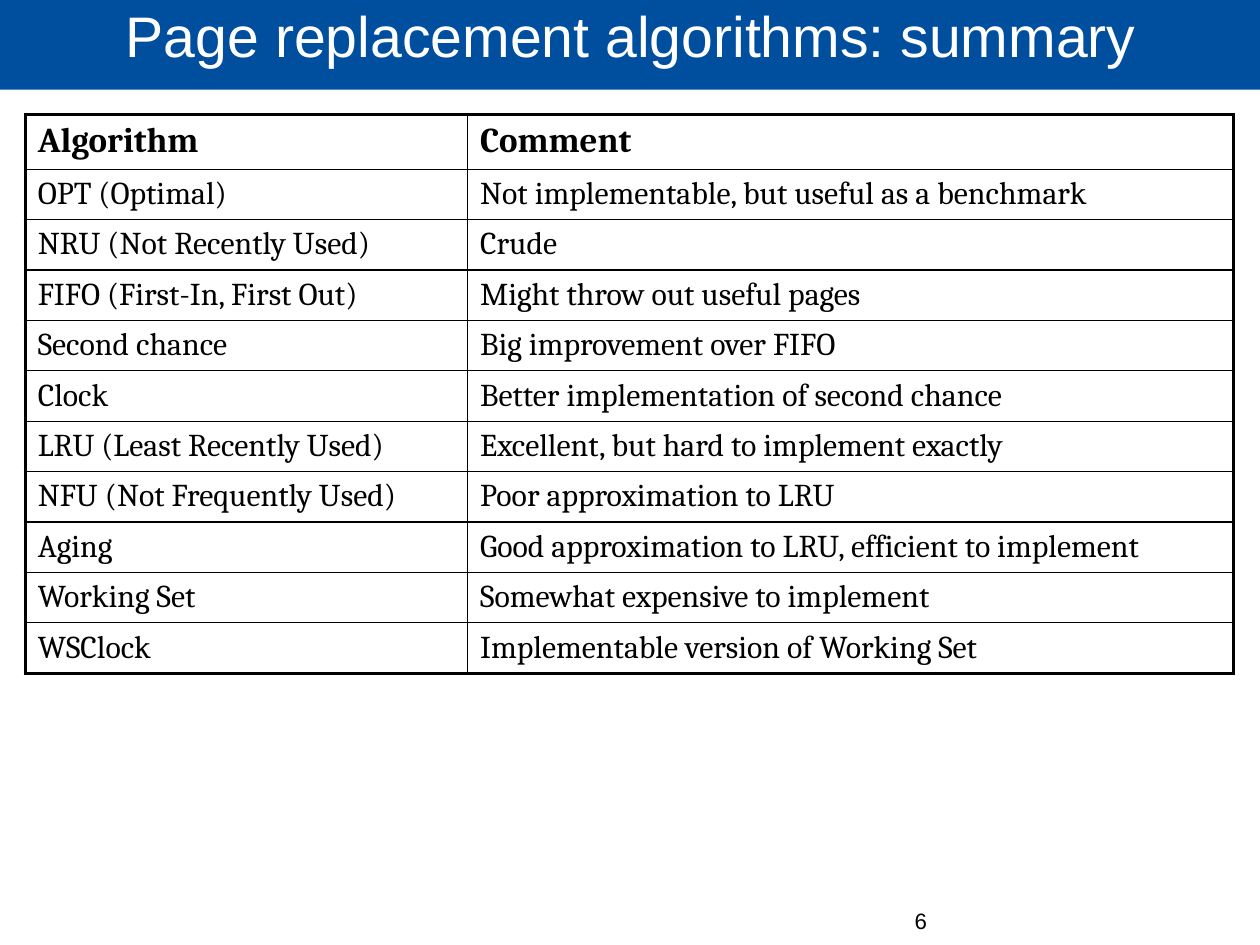
import pptx
import pptx.util
import pptx.dml.color
import pptx.enum.text
import pptx.oxml
import pptx.oxml.ns

Cm = pptx.util.Cm
Pt = pptx.util.Pt
RGBColor = pptx.dml.color.RGBColor
ALIGN = pptx.enum.text.PP_ALIGN
ANCHOR = pptx.enum.text.MSO_ANCHOR

BLUE = RGBColor(0x00, 0x4F, 0x9E)
WHITE = RGBColor(0xFF, 0xFF, 0xFF)
BLACK = RGBColor(0x00, 0x00, 0x00)
THIN, THICK = Pt(1), Pt(2.25)

ROWS = [
    ("Algorithm", "Comment"),
    ("OPT (Optimal)", "Not implementable, but useful as a benchmark"),
    ("NRU (Not Recently Used)", "Crude"),
    ("FIFO (First-In, First Out)", "Might throw out useful pages"),
    ("Second chance", "Big improvement over FIFO"),
    ("Clock", "Better implementation of second chance"),
    ("LRU (Least Recently Used)", "Excellent, but hard to implement exactly"),
    ("NFU (Not Frequently Used)", "Poor approximation to LRU"),
    ("Aging", "Good approximation to LRU, efficient to implement"),
    ("Working Set", "Somewhat expensive to implement"),
    ("WSClock", "Implementable version of Working Set"),
]


def add_text(para, text, face, size, color, bold=False):
    run = para.add_run()
    run.text = text
    run.font.name = face
    run.font.size = Pt(size)
    run.font.bold = bold
    run.font.color.rgb = color


def clear_frame(frame, anchor):
    """Remove the insets and fix the size and anchor of a text frame."""
    frame.margin_left = frame.margin_right = 0
    frame.margin_top = frame.margin_bottom = 0
    frame.word_wrap = True
    frame.auto_size = pptx.enum.text.MSO_AUTO_SIZE.NONE
    frame.vertical_anchor = anchor


def set_title(slide, text, left, top, width, height):
    title = slide.shapes.title
    title.left, title.top = left, top
    title.width, title.height = width, height
    title.fill.solid()
    title.fill.fore_color.rgb = BLUE
    clear_frame(title.text_frame, ANCHOR.MIDDLE)
    para = title.text_frame.paragraphs[0]
    para.alignment = ALIGN.CENTER
    para.line_spacing = 0.69
    add_text(para, text, "Arial", 36, WHITE)


def set_edge(cell, side, width):
    """Draw one border of a cell; side is L, R, T or B."""
    line = pptx.oxml.parse_xml(
        f'<a:ln{side} {pptx.oxml.ns.nsdecls("a")} w="{width}">'
        f'<a:solidFill><a:srgbClr val="{BLACK}"/></a:solidFill></a:ln{side}>')
    cell._tc.get_or_add_tcPr().append(line)


def fill_cell(cell, text, head, edges):
    cell.margin_left = cell.margin_right = Cm(0.28)
    cell.margin_top = cell.margin_bottom = Cm(0.15)
    for side, outer in edges.items():
        set_edge(cell, side, THICK if outer else THIN)
    cell.fill.background()
    para = cell.text_frame.paragraphs[0]
    add_text(para, text, "Cambria", 22 if head else 20, BLACK, head)


def add_grid(slide, rows, left, top, widths, head_height, row_height):
    """Add the table: thick outer frame, thin inner lines, bold first row."""
    height = head_height + row_height * (len(rows) - 1)
    table = slide.shapes.add_table(
        len(rows), len(widths), left, top, sum(widths), height).table
    table.horz_banding = False
    for col, width in zip(table.columns, widths):
        col.width = width
    last_row, last_col = len(rows) - 1, len(widths) - 1
    for r, texts in enumerate(rows):
        table.rows[r].height = row_height if r else head_height
        for c, text in enumerate(texts):
            edges = {"L": c == 0, "R": c == last_col,
                     "T": r == 0, "B": r == last_row}
            fill_cell(table.cell(r, c), text, r == 0, edges)


def add_number(slide, text, left, top, width, height):
    frame = slide.shapes.add_textbox(left, top, width, height).text_frame
    clear_frame(frame, ANCHOR.TOP)
    para = frame.paragraphs[0]
    para.alignment = ALIGN.RIGHT
    add_text(para, text, "Arial", 14, BLACK)


def main():
    deck = pptx.Presentation()
    deck.slide_width, deck.slide_height = Cm(28), Cm(21)
    slide = deck.slides.add_slide(deck.slide_layouts[5])
    set_title(slide, "Page replacement algorithms: summary",
              Cm(0), Cm(-0.06), Cm(28.04), Cm(2.05))
    add_grid(slide, ROWS, Cm(0.56), Cm(2.54),
             [Cm(9.83), Cm(17.03)], Cm(1.22), Cm(1.12))
    add_number(slide, "6", Cm(7.8), Cm(20.17), Cm(12.8), Cm(0.8))
    deck.save("out.pptx")


if __name__ == "__main__":
    main()
